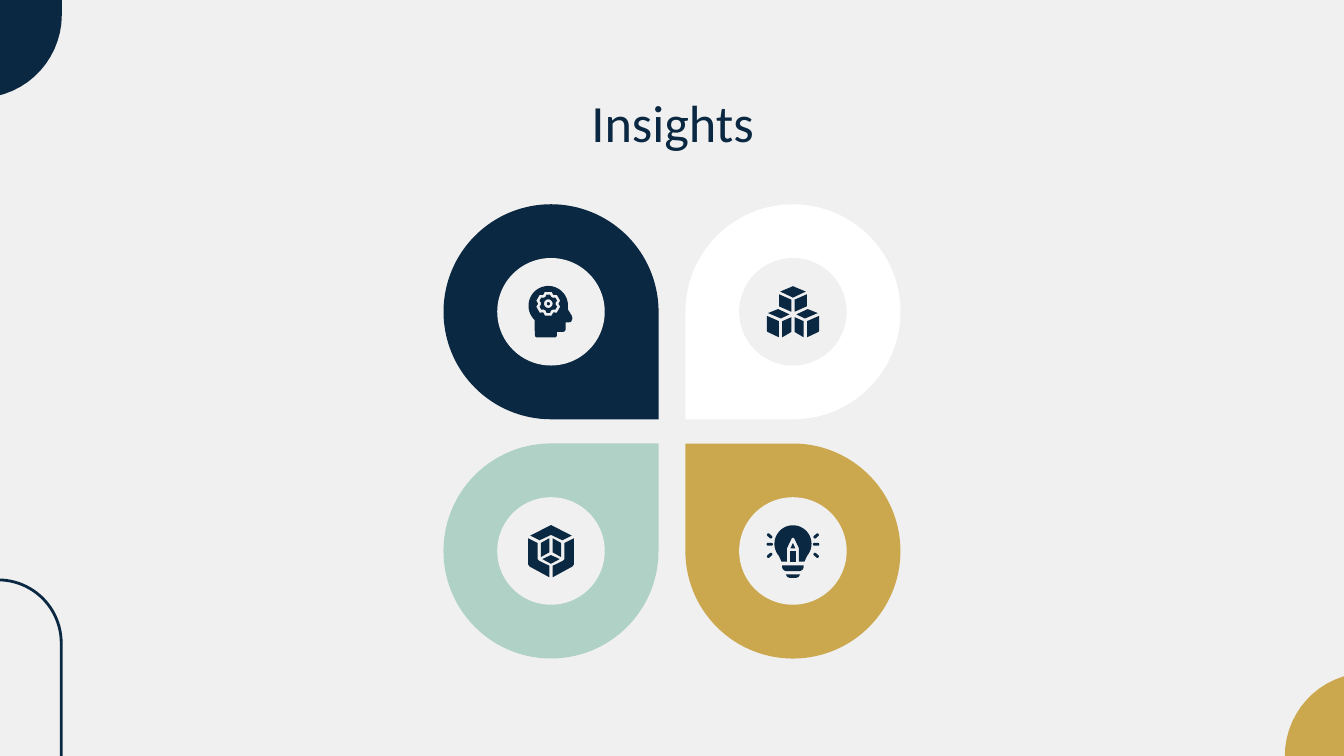
"""Build the Insights slide: four petals with icons and rounded corner accents."""
from dataclasses import dataclass
from math import atan2, cos, degrees, radians, sin

from pptx import Presentation
from pptx.dml.color import RGBColor
from pptx.enum.shapes import MSO_SHAPE
from pptx.enum.text import MSO_ANCHOR, PP_ALIGN
from pptx.util import Inches, Pt

TEARDROP, OVAL, ROUNDED = MSO_SHAPE.TEAR, MSO_SHAPE.OVAL, MSO_SHAPE.ROUNDED_RECTANGLE
TOP, CENTER = MSO_ANCHOR.TOP, PP_ALIGN.CENTER

COLORS = {
    "navy": "0A2841",
    "gold": "CBA74E",
    "mint": "B0D1C6",
    "white": "FFFFFF",
    "paper": "F0F0F0",
}
SLIDE_WIDTH = 10
SLIDE_HEIGHT = SLIDE_WIDTH * 9 / 16
PETAL_SIZE, DISC_SIZE = 1.6, 0.8
PETAL_LEFT, PETAL_TOP = 3.3, 1.52
COLUMN_STEP, ROW_STEP = 1.8, 1.78
ICON_UNIT = 0.01

Contour = list[tuple[float, float]]
Part = list[Contour]


@dataclass(frozen=True)
class Petal:
    column: int
    row: int
    rotation: int
    color: str
    icon: list[Part]


def rgb(color: str) -> RGBColor:
    return RGBColor.from_string(COLORS[color])


def arc(x: float, y: float, radius: float, start: float, end: float) -> Contour:
    steps = max(4, round(abs(end - start) / 6))
    angles = [radians(start + (end - start) * i / steps) for i in range(steps + 1)]
    return [(x + radius * cos(a), y + radius * sin(a)) for a in angles]


def capsule(x1: float, y1: float, x2: float, y2: float, radius: float) -> Contour:
    heading = degrees(atan2(y2 - y1, x2 - x1))
    return (arc(x2, y2, radius, heading - 90, heading + 90)
            + arc(x1, y1, radius, heading + 90, heading + 270))


def gear(x: float, y: float, tip: tuple[float, float],
         valley: tuple[float, float]) -> Contour:
    corners = [(-valley[0], valley[1]), (-tip[0], tip[1]), tip, valley]
    return [(x + r * sin(radians(tooth + a)), y - r * cos(radians(tooth + a)))
            for tooth in range(0, 360, 60) for a, r in corners]


def mirrored(contours: list[Contour]) -> list[Part]:
    return [[[(side * x, y) for x, y in contour]]
            for contour in contours for side in (1, -1)]


def head_icon() -> list[Part]:
    x, y = -2, -6
    profile = arc(x, -4.5, 14.7, 134, 370) + [
        (15.5, 3), (16, 5), (15, 7.5), (13, 8), (11, 8), (11, 13), (10.4, 14.4),
        (9, 15), (4.5, 15), (4.5, 18), (3.5, 19), (-11, 19), (-12, 18)]
    return [
        [profile, gear(x, y, (16, 9.2), (28, 7.7))],
        [gear(x, y, (11, 6.9), (22, 5.5)), arc(x, y, 3.2, 0, 360)],
        [arc(x, y, 1.2, 0, 360)],
    ]


def cubes_icon() -> list[Part]:
    return [[[(0, -19), (9.5, -15), (0, -10.5), (-9.5, -15)]]] + mirrored([
        [(10.3, -13), (1.2, -9), (1.2, 0), (10.3, -4)],
        [(1.2, 4), (1.2, 15), (8, 19), (8, 7)],
        [(11, -2), (2.5, 2), (9, 5), (18.5, 1)],
        [(19.5, 3), (10.5, 7), (10.5, 19), (19, 15), (19.5, 14)],
    ])


def box_icon() -> list[Part]:
    lid = [(0, -19.3), (15.5, -11.5), (8.5, -8), (0, -12),
           (-8.5, -8), (-15.5, -11.5)]
    floor = [(0, 3), (6.5, 6), (0, 9.5), (-6.5, 6)]
    return [[lid], [floor]] + mirrored([
        [(1.2, -9.5), (1.2, 1), (7.5, 4.5), (7.5, -6)],
        [(17, -9.5), (10, -6), (10, 6), (9, 7.2), (1.2, 11), (1.2, 19.5),
         (16, 11.5), (17, 10)],
    ])


def bulb_icon() -> list[Part]:
    glass = arc(0, -5.3, 13.8, 41, -221) + [
        (-8.5, 8), (-4.5, 8), (-4.5, -2), (-1, -9.3), (0, -10), (1, -9.3),
        (4.5, -2), (4.5, 8), (8.5, 8)]
    pencil = [(-2.4, 0), (2.4, 0), (2.4, 8), (-2.4, 8)]
    point = [(0, -6), (1.8, -2), (-1.8, -2)]
    collar = [(-8, 10.7), (8, 10.7)] + arc(4.5, 11.5, 3.5, 0, 90) + arc(
        -4.5, 11.5, 3.5, 90, 180)
    cap = [(-5.3, 17.5), (5.3, 17.5), (4.2, 19.3), (2.5, 20),
           (-2.5, 20), (-4.2, 19.3)]
    return [[shape] for shape in (glass, pencil, point, collar, cap)] + mirrored([
        capsule(16, -5, 18.5, -5, 1.1),
        capsule(16.4, -10.4, 18.2, -12, 1.1),
        capsule(16.4, 2.4, 18.2, 4, 1.1),
    ])


def paint(shape, color: str):
    shape.shadow.inherit = False
    shape.fill.solid()
    shape.fill.fore_color.rgb = rgb(color)
    shape.line.fill.background()
    return shape


def add_outline(shapes, contours: Part, color: str):
    points = [[(Inches(x), Inches(y)) for x, y in contour] for contour in contours]
    builder = shapes.build_freeform(*points[0][0], scale=1.0)
    for index, contour in enumerate(points):
        if index:
            builder.move_to(*contour[0])
        builder.add_line_segments(contour[1:], close=True)
    return paint(builder.convert_to_shape(), color)


def add_square(shapes, kind, x: float, y: float, size: float, color: str):
    return paint(shapes.add_shape(kind, Inches(x - size / 2), Inches(y - size / 2),
                                  Inches(size), Inches(size)), color)


def add_petal(shapes, petal: Petal) -> None:
    x = PETAL_LEFT + petal.column * COLUMN_STEP + PETAL_SIZE / 2
    y = PETAL_TOP + petal.row * ROW_STEP + PETAL_SIZE / 2
    add_square(shapes, TEARDROP, x, y, PETAL_SIZE, petal.color).rotation = petal.rotation
    add_square(shapes, OVAL, x, y, DISC_SIZE, "paper")
    parts = []
    for part in petal.icon:
        placed = [[(x + px * ICON_UNIT, y + py * ICON_UNIT) for px, py in contour]
                  for contour in part]
        parts.append(add_outline(shapes, placed, "navy"))
    shapes.add_group_shape(parts)


def add_corners(shapes) -> None:
    frame = shapes.add_shape(ROUNDED, Inches(-2), Inches(5.83), Inches(3.97), Inches(0.94))
    frame.rotation = 90
    frame.adjustments[0] = 0.5
    frame.shadow.inherit = False
    frame.fill.background()
    frame.line.color.rgb = rgb("navy")
    frame.line.width = Pt(1.5)
    add_outline(shapes, [[(-0.16, -0.01), (0.46, -0.01)]
                         + arc(-0.16, 0.11, 0.62, 0, 90)], "navy")
    add_outline(shapes, [[(10.18, SLIDE_HEIGHT)]
                         + arc(10.18, SLIDE_HEIGHT, 0.62, 180, 270)], "gold")


def add_title(shapes, wording: str) -> None:
    title = shapes.add_textbox(Inches(0.79), Inches(0.57), Inches(8.43), Inches(0.63))
    frame = title.text_frame
    frame.word_wrap = True
    frame.vertical_anchor = TOP
    frame.margin_left = frame.margin_right = Inches(0.1)
    frame.margin_top = frame.margin_bottom = Inches(0.1)
    paragraph = frame.paragraphs[0]
    paragraph.alignment = CENTER
    run = paragraph.add_run()
    run.text = wording
    run.font.name = "Calibri"
    run.font.size = Pt(28)
    run.font.color.rgb = rgb("navy")


def main() -> None:
    deck = Presentation()
    deck.slide_width, deck.slide_height = Inches(SLIDE_WIDTH), Inches(SLIDE_HEIGHT)
    slide = deck.slides.add_slide(deck.slide_layouts[6])
    slide.background.fill.solid()
    slide.background.fill.fore_color.rgb = rgb("paper")
    add_corners(slide.shapes)
    add_title(slide.shapes, "Insights")
    for petal in (
        Petal(0, 0, 90, "navy", head_icon()),
        Petal(1, 0, 180, "white", cubes_icon()),
        Petal(0, 1, 0, "mint", box_icon()),
        Petal(1, 1, 270, "gold", bulb_icon()),
    ):
        add_petal(slide.shapes, petal)
    deck.save("out.pptx")


if __name__ == "__main__":
    main()
